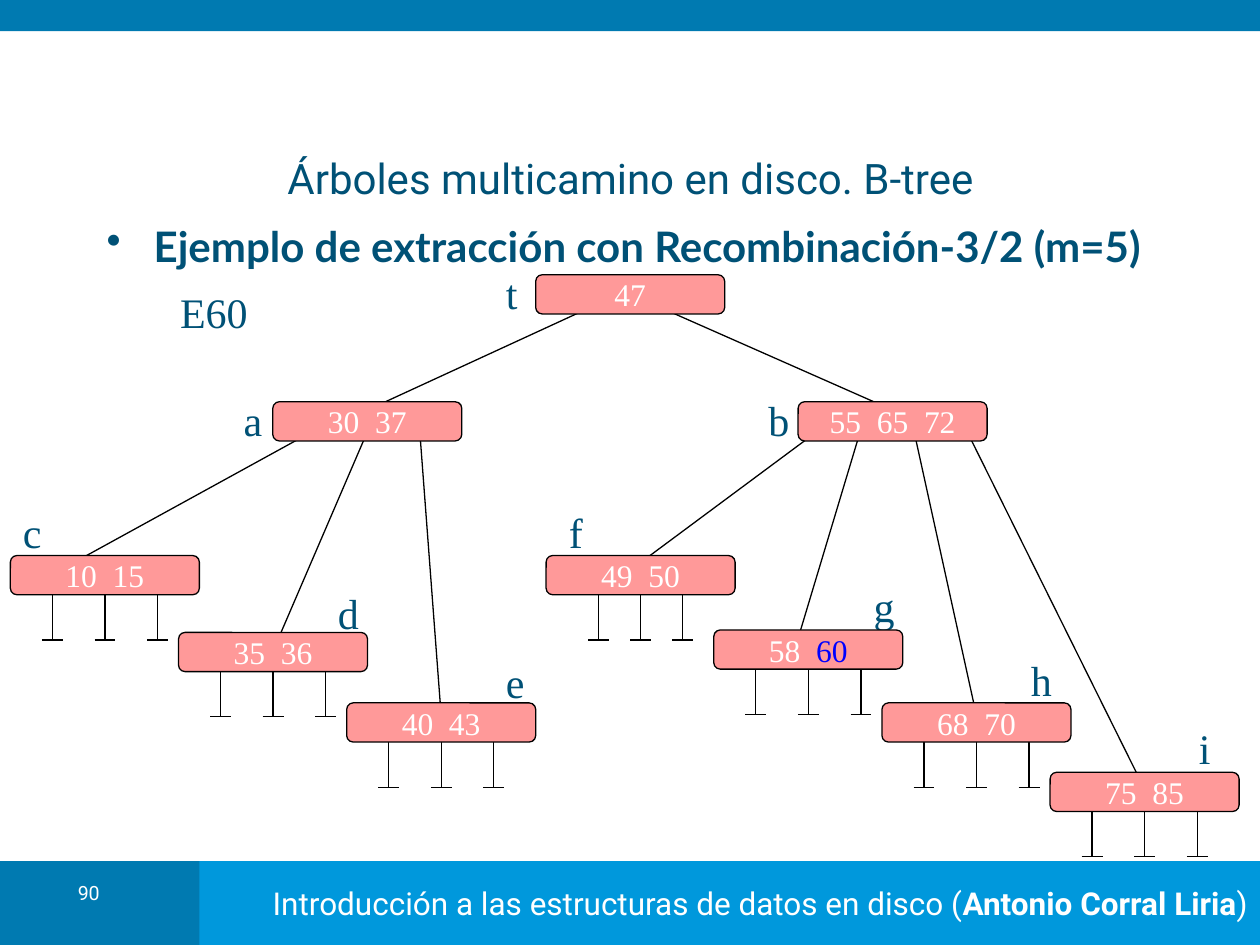
from lxml import etree
from pptx import Presentation
from pptx import util as u
from pptx.dml.color import RGBColor
from pptx.enum import shapes, text
from pptx.oxml import ns

COLORS = {
    "dark_blue": "007AB1",
    "light_blue": "0098DC",
    "ink": "005176",
    "node": "FF9999",
    "key": "0000FF",
    "line": "000000",
    "white": "FFFFFF",
}
SERIF = "Times New Roman"
NODE_W, NODE_H = 3.81, 0.79
EDGE_DEPTH = 0.57
LEAF_TOP, LEAF_BOTTOM, LEAF_HALF = 0.64, 1.7, 0.21

# name: (left, top, label left, label top, keys)
NODES = {
    "t": (10.8, 5.54, 9.95, 5.26, ["47"]),
    "a": (5.5, 8.1, 4.66, 7.82, ["30  37"]),
    "b": (16.09, 8.1, 15.24, 7.82, ["55  65  72"]),
    "c": (0.21, 11.2, 0.21, 10.08, ["10  15"]),
    "d": (3.6, 12.75, 6.56, 11.71, ["35  36"]),
    "e": (6.99, 14.17, 9.95, 13.11, ["40  43"]),
    "f": (11.01, 11.2, 11.22, 10.08, ["49  50"]),
    "g": (14.39, 12.7, 17.36, 11.58, ["58  ", "60"]),
    "h": (17.78, 14.17, 20.53, 13.06, ["68  70"]),
    "i": (21.17, 15.57, 23.92, 14.45, ["75  85"]),
}
# parent, start x, end x, end y
EDGES = [
    ("t", 12.09, 7.42, 8.26),
    ("t", 13.11, 17.98, 8.26),
    ("a", 6.35, 1.47, 11.35),
    ("a", 7.42, 5.51, 13.11),
    ("a", 8.46, 8.89, 14.38),
    ("b", 16.51, 12.9, 11.35),
    ("b", 17.35, 16.08, 12.9),
    ("b", 18.42, 19.69, 14.45),
    ("b", 19.48, 23.06, 15.88),
]
LEAF_GAPS = {"c": 1.06, "d": 1.06, "e": 1.06, "f": 0.85, "g": 1.06, "h": 1.06, "i": 1.06}


def rgb(name):
    return RGBColor.from_string(COLORS[name])


def style(p, font, size, color, align=text.PP_ALIGN.LEFT):
    p.alignment = align
    p.font.name = font
    p.font.size = u.Pt(size)
    p.font.color.rgb = rgb(color)


def add_text(parent, box, words, font, size, color, align=text.PP_ALIGN.LEFT):
    sp = parent.add_textbox(*map(u.Cm, box))
    sp.text_frame.word_wrap = True
    p = sp.text_frame.paragraphs[0]
    p.text = words
    style(p, font, size, color, align)
    return p


def add_block(parent, kind, box, fill):
    sp = parent.add_shape(kind, *map(u.Cm, box))
    sp.shadow.inherit = False
    sp.fill.solid()
    sp.fill.fore_color.rgb = rgb(fill)
    sp.line.fill.background()
    tf = sp.text_frame
    tf.word_wrap = False
    tf.vertical_anchor = text.MSO_ANCHOR.MIDDLE
    return sp


def add_line(parent, x1, y1, x2, y2):
    line = parent.add_connector(shapes.MSO_CONNECTOR.STRAIGHT, *map(u.Cm, (x1, y1, x2, y2)))
    line.line.color.rgb = rgb("line")
    line.line.width = u.Pt(0.75)
    etree.SubElement(line._element.spPr, ns.qn("a:effectLst"))


def add_leaves(parent, name):
    left, top = NODES[name][:2]
    for step in (-1, 0, 1):
        x = left + NODE_W / 2 + step * LEAF_GAPS[name]
        y = top + LEAF_BOTTOM
        add_line(parent, x, top + LEAF_TOP, x, y)
        add_line(parent, x - LEAF_HALF, y, x + LEAF_HALF, y)


def add_node(parent, name):
    left, top, label_left, label_top, keys = NODES[name]
    add_text(parent, (label_left, label_top, 0.85, 1.27), name, SERIF, 24, "ink")
    sp = add_block(parent, shapes.MSO_SHAPE.ROUNDED_RECTANGLE, (left, top, NODE_W, NODE_H), "node")
    sp.line.color.rgb = rgb("line")
    sp.line.width = u.Pt(0.75)
    p = sp.text_frame.paragraphs[0]
    style(p, SERIF, 18, "white", text.PP_ALIGN.CENTER)
    for key, color in zip(keys, ("white", "key")):
        r = p.add_run()
        r.text = key
        r.font.color.rgb = rgb(color)


def add_tree(s):
    tree = s.shapes.add_group_shape().shapes
    for parent, x1, x2, y2 in EDGES:
        add_line(tree, x1, NODES[parent][1] + EDGE_DEPTH, x2, y2)
    for name in LEAF_GAPS:
        add_leaves(tree, name)
    for name in NODES:
        add_node(tree, name)


def add_bands(s):
    rect = shapes.MSO_SHAPE.RECTANGLE
    add_block(s.shapes, rect, (0, 17.36, 4.65, 1.69), "dark_blue")
    footer = add_block(s.shapes, rect, (4.02, 17.36, 21.38, 1.69), "light_blue")
    add_block(s.shapes, rect, (0, 0, 25.4, 0.63), "dark_blue")
    p = footer.text_frame.paragraphs[0]
    style(p, "Roboto", 18, "white", text.PP_ALIGN.RIGHT)
    for words, bold in (
        ("Introducción a las estructuras de datos en disco (", False),
        ("Antonio Corral Liria", True),
        (")", False),
    ):
        r = p.add_run()
        r.text = words
        r.font.bold = bold
    p = add_text(s.shapes, (0.89, 17.73, 1.8, 0.81), "90", "Roboto", 11.2, "white", text.PP_ALIGN.CENTER)
    p.line_spacing = 0.8


def set_title(s, words):
    title = s.shapes.title
    title.left, title.top, title.width, title.height = map(u.Cm, (2.11, 3.05, 21.2, 1.07))
    tf = title.text_frame
    tf.vertical_anchor = text.MSO_ANCHOR.MIDDLE
    tf.text = words
    style(tf.paragraphs[0], "Roboto", 24, "ink", text.PP_ALIGN.CENTER)


def add_bullet(s, words):
    p = add_text(s.shapes, (1.9, 4.32, 23, 1.2), words, "Lato", 24, "ink")
    p.font.bold = True
    pPr = p._p.get_or_add_pPr()
    pPr.set("marL", str(u.Cm(0.95)))
    pPr.set("indent", str(u.Cm(-0.95)))
    bullet = etree.Element(ns.qn("a:buChar"), char="•")
    pPr.insert_element_before(bullet, "a:tabLst", "a:defRPr", "a:extLst")


def main():
    prs = Presentation()
    prs.slide_width, prs.slide_height = u.Cm(25.4), u.Cm(19.05)
    s = prs.slides.add_slide(prs.slide_layouts[5])
    add_bands(s)
    set_title(s, "Árboles multicamino en disco. B-tree")
    add_bullet(s, "Ejemplo de extracción con Recombinación-3/2 (m=5)")
    add_text(s.shapes, (3.38, 5.66, 2.34, 1.27), "E60", SERIF, 24, "ink")
    add_tree(s)
    prs.save("out.pptx")


if __name__ == "__main__":
    main()
